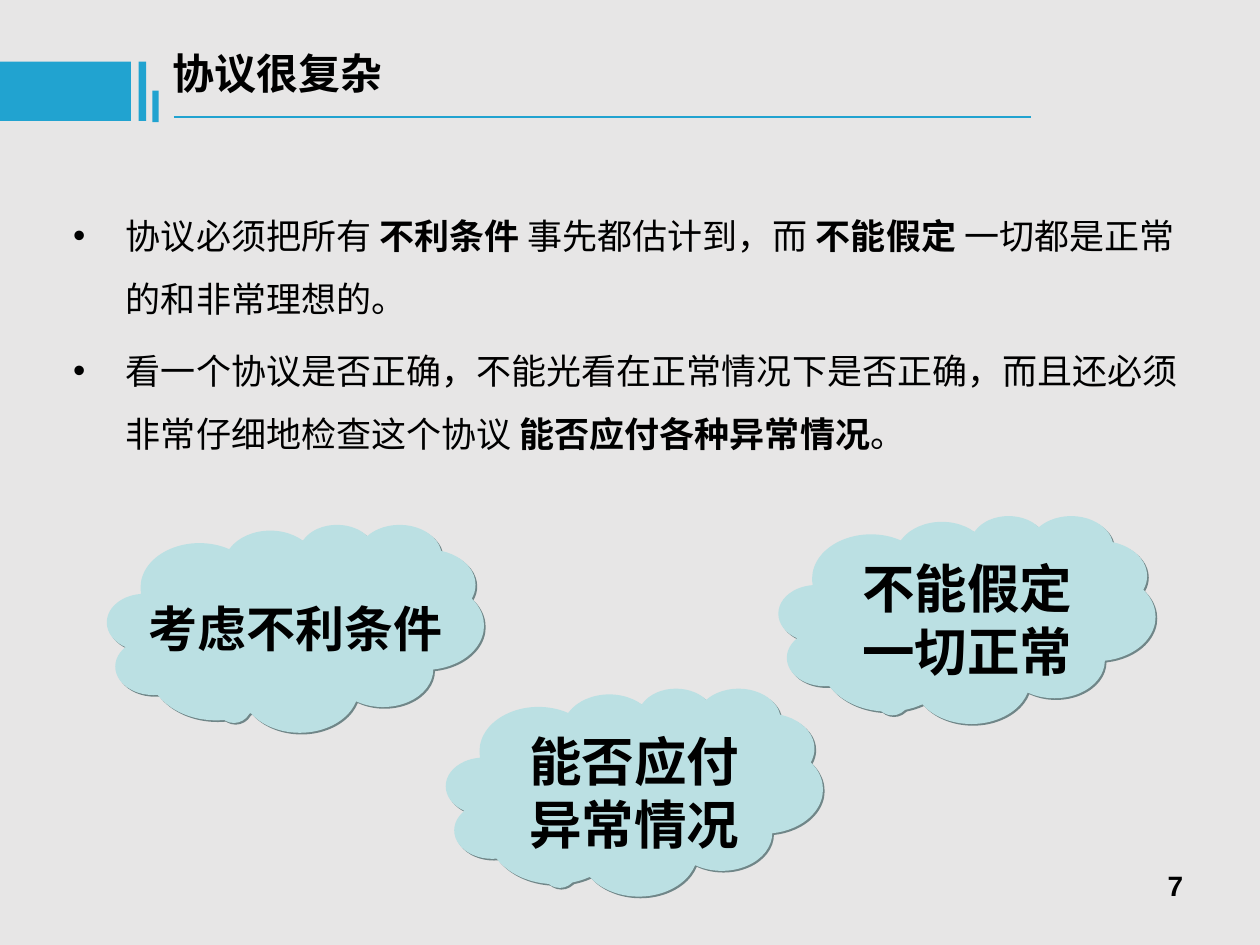
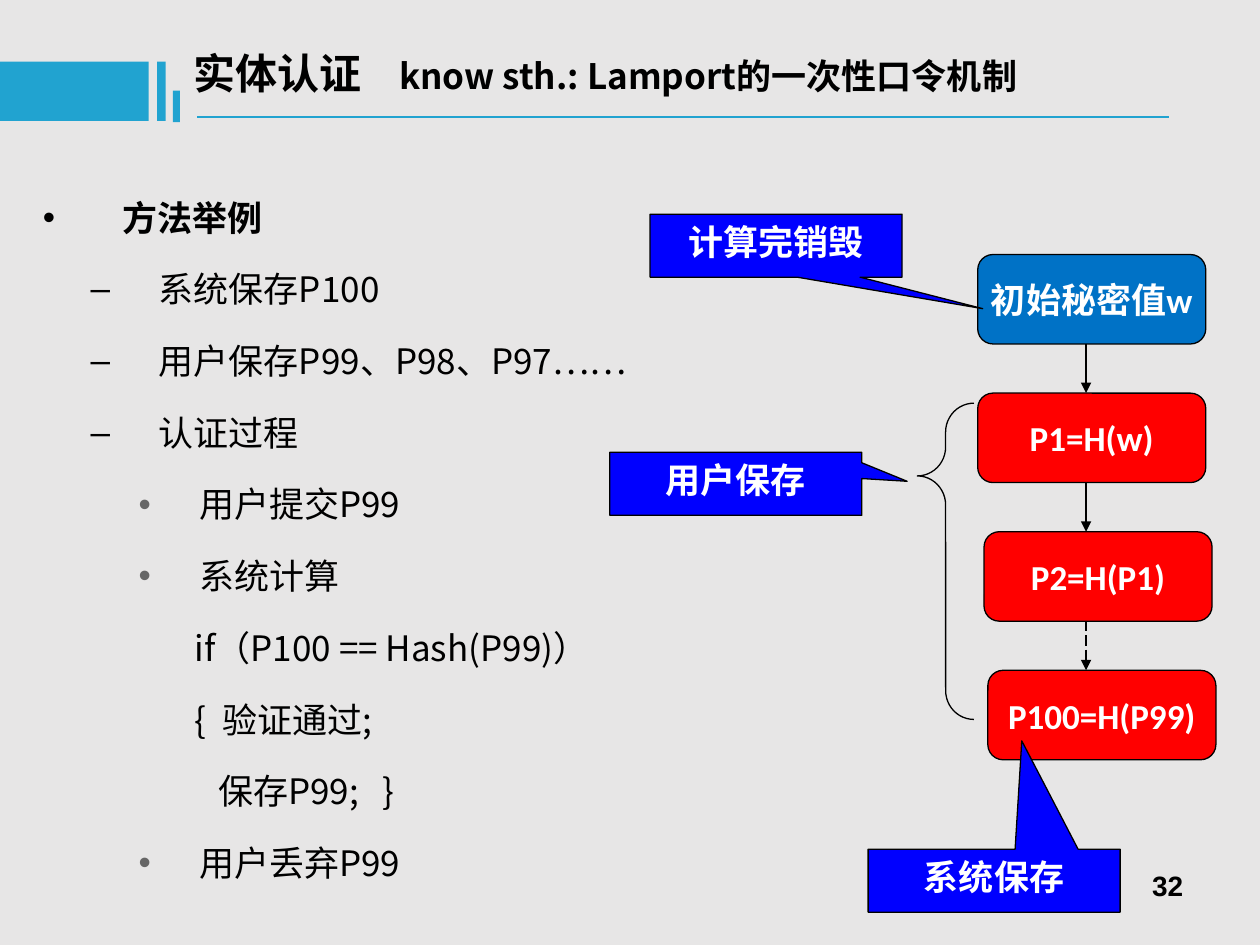
"""Build two lecture slides on protocol complexity and one-time passwords."""
from lxml import etree
from pptx import Presentation
from pptx.dml.color import RGBColor
from pptx.enum import dml, shapes, text
from pptx.oxml.ns import qn
from pptx.util import Inches, Pt

BACKGROUND = RGBColor(0xE7, 0xE6, 0xE6)
ACCENT = RGBColor(0x21, 0xA3, 0xD0)
BLACK = RGBColor(0, 0, 0)
WHITE = RGBColor(0xFF, 0xFF, 0xFF)
GREY = RGBColor(0x66, 0x66, 0x66)
CLOUD = RGBColor(0xBB, 0xE0, 0xE3)
CLOUD_SHADOW = RGBColor(0x70, 0x86, 0x88)
SECRET = RGBColor(0x00, 0x72, 0xC6)
HASH = RGBColor(0xFF, 0, 0)
NOTE = RGBColor(0, 0, 0xFF)
SANS, LATIN, NUMBER = "Noto Sans CJK SC", "Calibri", "Arial"
SHAPE = shapes.MSO_SHAPE
ALIGN = text.PP_ALIGN
BOLD = {"bold": True}
NARROW_INSETS, WIDE_INSETS = (0.1, 0.05), (0.11, 0.06)

BANDS = [(0, 0.49, 1.04, 0.47), (1.1, 0.49, 0.06, 0.47), (1.21, 0.72, 0.05, 0.25)]
RULE = (1.38, 8.18, 0.93)
TITLE_LEFT = 1.27

COMPLEX_TITLE = ["协议很复杂"]
COMPLEX_BULLETS = [
    (0, ["协议必须把所有 ", ("不利条件 ", BOLD), "事先都估计到，而 ",
         ("不能假定 ", BOLD), "一切都是正常的和非常理想的。"]),
    (0, ["看一个协议是否正确，不能光看在正常情况下是否正确，而且还必须非常仔细地检查这个协议 ",
         ("能否应付各种异常情况", BOLD), "。"]),
]
CLOUDS = [
    (0.85, 4.16, 28, (-0.07, 0.16), ["考虑不利条件"]),
    (6.18, 4.09, 30, (-0.11, 0.21), ["不能假定", "一切正常"]),
    (3.54, 5.46, 30, (-0.11, 0.21), ["能否应付", "异常情况"]),
]

LAMPORT_TITLE = ["实体认证", ("\tknow sth.: Lamport的一次性口令机制", {"size": 20})]
LAMPORT_BULLETS = [
    (0, [("方法举例", BOLD)]),
    (1, ["系统保存P100"]),
    (1, ["用户保存P99、P98、P97……"]),
    (1, ["认证过程"]),
    (2, ["用户提交P99"]),
    (2, ["系统计算"]),
    (3, ["  if（P100 == Hash(P99)）"]),
    (3, ["  {  验证通过;"]),
    (3, ["     保存P99;   }"]),
    (2, ["用户丢弃P99"]),
]
COMPLEX_LEVELS = [(0.42, -0.42, "•", BLACK)]
LAMPORT_LEVELS = [
    (0.63, -0.63, "•", BLACK),
    (0.92, -0.54, "–", BLACK),
    (1.24, -0.48, "•", GREY),
    (1.5, -0.42, None, None),
]
CHAIN = [
    (7.76, "初始秘密值w", SECRET),
    (7.76, "P1=H(w)", HASH),
    (7.81, "P2=H(P1)", HASH),
    (7.84, "P100=H(P99)", HASH),
]
CHAIN_TOP, CHAIN_STEP, CHAIN_AXIS = 2.02, 1.1, 8.62
NODE_WIDTH, NODE_HEIGHT = 1.81, 0.71
CALLOUTS = [
    (6.89, 6.74, "系统保存", (0.11, -2.22)),
    (5.16, 1.7, "计算完销毁", (0.82, 1)),
    (4.84, 3.59, "用户保存", (0.68, -0.04)),
]


def add_bullet(para, left, first, mark, colour):
    properties = para._p.get_or_add_pPr()
    properties.set("marL", str(Inches(left)))
    properties.set("indent", str(Inches(first)))
    if mark is None:
        etree.SubElement(properties, qn("a:buNone"))
        return
    holder = etree.SubElement(properties, qn("a:buClr"))
    etree.SubElement(holder, qn("a:srgbClr"), val=str(colour))
    etree.SubElement(properties, qn("a:buFont"), typeface=NUMBER)
    etree.SubElement(properties, qn("a:buChar"), char=mark)


def write(box, paragraphs, size=20, font=LATIN, colour=BLACK, bold=False,
          align=ALIGN.LEFT, anchor=text.MSO_ANCHOR.TOP, wrap=True,
          insets=NARROW_INSETS, levels=None, tab=None):
    frame = box.text_frame
    frame.word_wrap = wrap
    frame.vertical_anchor = anchor
    frame.margin_left = frame.margin_right = Inches(insets[0])
    frame.margin_top = frame.margin_bottom = Inches(insets[1])
    for index, (level, spans) in enumerate(paragraphs):
        para = frame.add_paragraph() if index else frame.paragraphs[0]
        para.alignment = align
        if levels:
            add_bullet(para, *levels[level])
            para.level = level
            para.line_spacing = 1.5
            para.space_before = Pt(5 if index else 0)
        if tab:
            stops = etree.SubElement(para._p.get_or_add_pPr(), qn("a:tabLst"))
            etree.SubElement(stops, qn("a:tab"), pos=str(Inches(tab)), algn="l")
        for item in spans:
            words, changes = (item, {}) if isinstance(item, str) else item
            span = para.add_run()
            span.text = words
            span.font.size = Pt(changes.get("size", size))
            span.font.bold = changes.get("bold", bold)
            span.font.color.rgb = colour
            span.font.name = font
            etree.SubElement(span._r.get_or_add_rPr(), qn("a:ea"), typeface=SANS)


def add_text(page, place, paragraphs, **style):
    box = page.shapes.add_textbox(*map(Inches, place))
    write(box, paragraphs, **style)


def add_figure(page, kind, place, fill=None, outline=None, adjustments=()):
    figure = page.shapes.add_shape(kind, *map(Inches, place))
    figure.shadow.inherit = False
    if fill is None:
        figure.fill.background()
    else:
        figure.fill.solid()
        figure.fill.fore_color.rgb = fill
    if outline is None:
        figure.line.fill.background()
    else:
        figure.line.color.rgb = outline
        figure.line.width = Pt(0.75)
    for index, value in enumerate(adjustments):
        figure.adjustments[index] = value
    return figure


def add_line(page, start, end, colour, width, arrow=False, dash=None):
    line = page.shapes.add_connector(
        shapes.MSO_CONNECTOR.STRAIGHT, *map(Inches, (*start, *end)))
    line.line.color.rgb = colour
    line.line.width = Pt(width)
    if dash:
        line.line.dash_style = dash
    if arrow:
        etree.SubElement(line.line._get_or_add_ln(), qn("a:tailEnd"), type="triangle")
    etree.SubElement(line._element.spPr, qn("a:effectLst"))


def add_page(deck, title, number, scale=1.0):
    page = deck.slides.add_slide(deck.slide_layouts[6])
    page.background.fill.solid()
    page.background.fill.fore_color.rgb = BACKGROUND
    for left, top, width, height in BANDS:
        add_figure(page, SHAPE.RECTANGLE,
                   (left * scale, top, width * scale, height), ACCENT)
    start, end, level = RULE
    add_line(page, (start * scale, level), (end * scale, level), ACCENT, 1.5)
    add_text(page, (TITLE_LEFT * scale, 0.33, 7.86, 0.5), [(0, title)],
             size=24, font=SANS, bold=True, tab=1.63)
    add_text(page, (7.17, 6.83, 2.33, 0.52), [(0, [number])], size=16,
             font=NUMBER, bold=True, align=ALIGN.RIGHT, insets=WIDE_INSETS)
    return page


def add_cloud(page, left, top, size, tip, lines):
    place = (left, top, 2.99, 1.65)
    cloud = add_figure(page, SHAPE.CLOUD_CALLOUT, place, CLOUD, adjustments=tip)
    effects = cloud._element.spPr.find(qn("a:effectLst"))
    shadow = etree.SubElement(effects, qn("a:outerShdw"), dist=str(Pt(1.4)),
                              dir="2700000", algn="ctr", rotWithShape="0")
    etree.SubElement(shadow, qn("a:srgbClr"), val=str(CLOUD_SHADOW))
    add_text(page, place, [(0, [line]) for line in lines], size=size, bold=True,
             align=ALIGN.CENTER, anchor=text.MSO_ANCHOR.MIDDLE)


def build_complex_page(deck):
    page = add_page(deck, COMPLEX_TITLE, "7")
    add_text(page, (0.47, 1.48, 9, 4.64), COMPLEX_BULLETS, font=SANS,
             insets=WIDE_INSETS, levels=COMPLEX_LEVELS)
    for cloud in CLOUDS:
        add_cloud(page, *cloud)


def build_lamport_page(deck):
    page = add_page(deck, LAMPORT_TITLE, "32", scale=1.134)
    add_text(page, (0.23, 1.33, 5.16, 5.94), LAMPORT_BULLETS, font=SANS,
             insets=WIDE_INSETS, levels=LAMPORT_LEVELS)
    label = {"colour": WHITE, "bold": True, "align": ALIGN.CENTER}
    last = len(CHAIN) - 1
    for index, (left, words, fill) in enumerate(CHAIN):
        top = CHAIN_TOP + index * CHAIN_STEP
        node = add_figure(page, SHAPE.ROUNDED_RECTANGLE,
                          (left, top, NODE_WIDTH, NODE_HEIGHT), fill, BLACK, (0.17,))
        write(node, [(0, [words])], anchor=text.MSO_ANCHOR.MIDDLE, wrap=False, **label)
        if index < last:
            dash = dml.MSO_LINE.LONG_DASH if index == last - 1 else None
            add_line(page, (CHAIN_AXIS, top + NODE_HEIGHT),
                     (CHAIN_AXIS, top + CHAIN_STEP), BLACK, 0.75, True, dash)
    for left, top, words, tip in CALLOUTS:
        callout = add_figure(page, SHAPE.RECTANGULAR_CALLOUT, (left, top, 2, 0.5),
                             NOTE, BLACK, tip)
        write(callout, [(0, [words])], **label)
    add_figure(page, SHAPE.LEFT_BRACE, (7.28, 3.2, 0.45, 2.51),
               outline=BLACK, adjustments=(0.51, 0.23))


def main():
    deck = Presentation()
    deck.slide_width, deck.slide_height = Inches(10), Inches(7.5)
    build_complex_page(deck)
    build_lamport_page(deck)
    deck.save("out.pptx")


if __name__ == "__main__":
    main()
